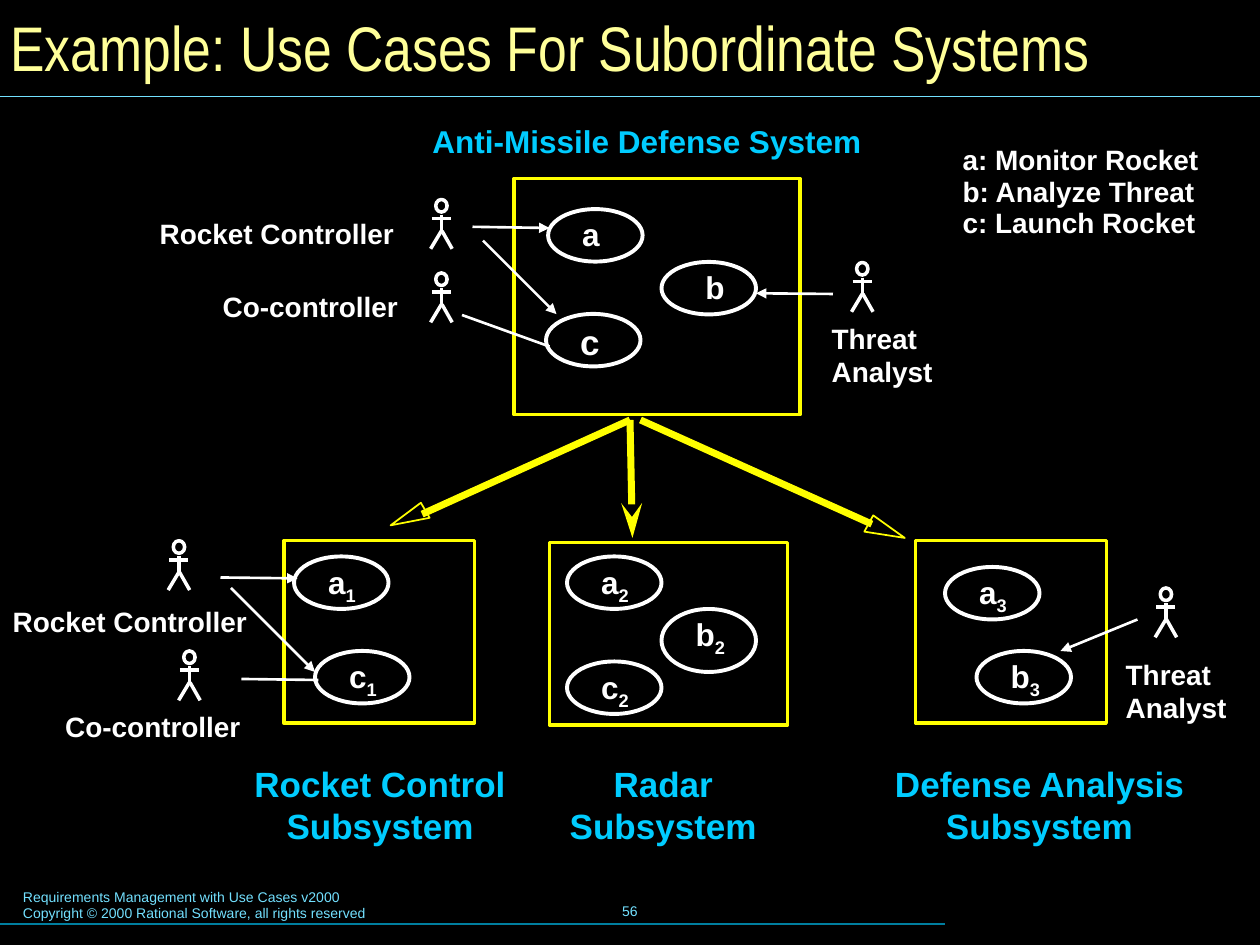
"""Build the slide on use cases for subordinate systems."""
from pptx import Presentation
from pptx.dml.color import RGBColor
from pptx.enum.shapes import MSO_CONNECTOR as CONN, MSO_SHAPE as SHAPE
from pptx.enum.text import MSO_ANCHOR as ANCHOR, PP_ALIGN as ALIGN
from pptx.oxml.ns import qn
from pptx.util import Pt
from lxml.etree import SubElement

BLACK, WHITE, YELLOW, CYAN = "000000", "FFFFFF", "FFFF00", "00CCFF"
PALE_YELLOW, PALE_BLUE, TEAL = "FFFF99", "73E1FF", "007E9F"

LABEL = dict(size=16, bold=True, color=WHITE)
CASE = dict(size=18, bold=True, color=WHITE)
HEADING = dict(size=20, bold=True, color=CYAN)
SYSTEM = dict(size=18, bold=True, color=CYAN)
FOOTER = dict(size=8, color=PALE_BLUE)
TITLE = dict(size=36, name="Arial Narrow", color=PALE_YELLOW)

TITLE_TEXT = "Example: Use Cases For Subordinate Systems"
FOOTER_TEXT = ("Requirements Management with Use Cases v2000\n"
               "Copyright © 2000 Rational Software, all rights reserved")
SYSTEM_NAME = "Anti-Missile Defense System"
LEGEND = ["a: Monitor Rocket", "b: Analyze Threat", "c: Launch Rocket"]
ACTOR_LABELS = [
    ("Rocket Controller", 84.2, 120, 152, 26.6),
    ("Co-controller", 120.2, 162, 118, 26.6),
    ("Threat\nAnalyst", 468.2, 180, 75, 45.4),
    ("Rocket Controller", 0.2, 342, 152, 26.6),
    ("Co-controller", 30.2, 402, 118, 26.6),
    ("Threat\nAnalyst", 636.2, 372, 75, 45.4),
]
SUBSYSTEMS = [
    ("Rocket Control\nSubsystem", 136, 162.4, False),
    ("Radar\nSubsystem", 312, 134, True),
    ("Defense Analysis Subsystem", 492, 204, True),
]
SYSTEM_BOXES = [
    (293.8, 102, 163.4, 135),
    (162.2, 308.9, 109, 104.4),
    (314, 310, 136, 104.4),
    (523.2, 308.9, 109, 104.4),
]
USE_CASES = [
    ("a", "", 313.2, 119.5, {}),
    ("b", "", 378, 149.7, dict(indent=18)),
    ("c", "", 312, 179.4, dict(size=20)),
    ("a", "1", 168, 318, {}),
    ("c", "1", 180, 372, {}),
    ("a", "2", 324, 318, {}),
    ("b", "2", 378, 348, dict(height=36)),
    ("c", "2", 324, 378, {}),
    ("a", "3", 540, 324, {}),
    ("b", "3", 558, 372, {}),
]
ACTORS = [(249, 114), (249, 156), (489.5, 150),
          (99, 309), (105, 372), (663, 336)]
LIMBS = [(9.4, 28.2, 3.6, 18), (-2.2, 10.9, 8.6, 10.9),
         (-2.9, 28.2, 3.2, 18), (3.4, 8.6, 3.4, 18.8)]
LINKS = [
    (270, 129.6, 314, 130.3, "triangle"),
    (276, 137.5, 318, 179.5, "triangle"),
    (264, 180, 314, 198, None),
    (476, 168, 432, 167.6, "triangle"),
    (126, 330, 170, 330.5, "triangle"),
    (132, 336, 180, 384, "triangle"),
    (138, 388, 182, 388.6, None),
    (650, 354, 606, 372, "triangle"),
]
ARROW_TIPS = [
    [(223.2, 300.2), (240.5, 287.3), (245.5, 295.9)],
    [(517, 307.4), (493.9, 303.8), (499, 294.5)],
]
BRANCHES = [
    (360, 240, 241.2, 293.8, None),
    (366, 240, 498.2, 299.5, None),
    (360, 240, 361.4, 307.4, "stealth"),
]
RULES = [(0, 55, 720, 55, PALE_BLUE), (0, 528, 540, 528, TEAL)]

prs = Presentation()
prs.slide_width, prs.slide_height = Pt(720), Pt(540)
s = prs.slides.add_slide(prs.slide_layouts[6])


def rgb(color):
    """Turn a hex string into a colour."""
    return RGBColor.from_string(color)


def pts(values):
    """Turn numbers into point lengths."""
    return [Pt(v) for v in values]


def add_run(p, text, fmt):
    """Add a run with its format values and return it."""
    r = p.add_run()
    r.text = text
    for key, value in {"name": "Arial", **fmt}.items():
        if key == "color":
            r.font.color.rgb = rgb(value)
        else:
            setattr(r.font, key, Pt(value) if key == "size" else value)
    return r


def add_text(text, box, fmt, align=ALIGN.LEFT, anchor=ANCHOR.TOP,
             wrap=False, inset=(7.2, 3.6)):
    """Add a text box with one paragraph per line and return its frame."""
    tf = s.shapes.add_textbox(*pts(box)).text_frame
    tf.word_wrap, tf.vertical_anchor = wrap, anchor
    tf.margin_left = tf.margin_right = Pt(inset[0])
    tf.margin_top = tf.margin_bottom = Pt(inset[1])
    for i, line in enumerate(text.split("\n")):
        p = tf.add_paragraph() if i else tf.paragraphs[0]
        p.alignment = align
        add_run(p, line, fmt)
    return tf


def style(sp, color, width, fill=None):
    """Set outline and fill, and drop the shadow."""
    sp.shadow.inherit = False
    sp.line.color.rgb, sp.line.width = rgb(color), Pt(width)
    if fill:
        sp.fill.solid()
        sp.fill.fore_color.rgb = rgb(fill)
    else:
        sp.fill.background()


def add_outline(kind, box, color, width):
    """Add an unfilled preset shape."""
    style(s.shapes.add_shape(kind, *pts(box)), color, width)


def add_line(ends, color, width, tip=None, length="med"):
    """Add a straight connector with an optional arrowhead."""
    cn = s.shapes.add_connector(CONN.STRAIGHT, *pts(ends))
    cn.line.color.rgb, cn.line.width = rgb(color), Pt(width)
    if tip:
        SubElement(cn.line._get_or_add_ln(), qn("a:tailEnd"),
                   type=tip, len=length)
    SubElement(cn._element.spPr, qn("a:effectLst"))


def add_use_case(letter, index, x, y, height=30, indent=12.4, size=18):
    """Add an oval with its letter and subscript."""
    tf = add_text(letter, (x + indent, y, 36 if index else 28, 30),
                  {**CASE, "size": size})
    if index:
        r = add_run(tf.paragraphs[0], index, CASE)
        r._r.get_or_add_rPr().set("baseline", "-25000")
    add_outline(SHAPE.OVAL, (x, y, 54, height), WHITE, 2.25)


def add_actor(x, y):
    """Add a stick figure from the top left of its head."""
    add_outline(SHAPE.OVAL, (x, y, 6.5, 7.2), WHITE, 2)
    for x1, y1, x2, y2 in LIMBS:
        add_line((x + x1, y + y1, x + x2, y + y2), WHITE, 2)


s.background.fill.solid()
s.background.fill.fore_color.rgb = rgb(BLACK)
add_text(FOOTER_TEXT, (6, 504, 367, 26.6), FOOTER, wrap=True)
add_text("56", (246, 502.6, 228, 36), FOOTER, ALIGN.CENTER, ANCHOR.MIDDLE)
for *ends, color in RULES:
    add_line(ends, color, 0.75)
add_text(TITLE_TEXT, (6, 6, 708, 41.8), TITLE, anchor=ANCHOR.BOTTOM,
         wrap=True, inset=(0, 0))

for corners in ARROW_TIPS:
    start, *rest = [pts(c) for c in corners]
    fb = s.shapes.build_freeform(*start)
    fb.add_line_segments(rest, close=True)
    style(fb.convert_to_shape(), YELLOW, 1, BLACK)
for *ends, tip in BRANCHES:
    add_line(ends, YELLOW, 4, tip, "lg")
for box in SYSTEM_BOXES:
    add_outline(SHAPE.RECTANGLE, box, YELLOW, 2)
for *ends, tip in LINKS:
    add_line(ends, WHITE, 1.5, tip)
for letter, index, x, y, options in USE_CASES:
    add_use_case(letter, index, x, y, **options)
for x, y in ACTORS:
    add_actor(x, y)

add_text(SYSTEM_NAME, (240, 66, 264, 29), SYSTEM)
for i, entry in enumerate(LEGEND):
    add_text(entry, (543, 78 + 18 * i, 177, 26.6), LABEL, wrap=True)
for text, *box in ACTOR_LABELS:
    add_text(text, box, LABEL)
for text, x, width, wrap in SUBSYSTEMS:
    add_text(text, (x, 432, width, 55.4), HEADING, ALIGN.CENTER, wrap=wrap)

prs.save("out.pptx")
